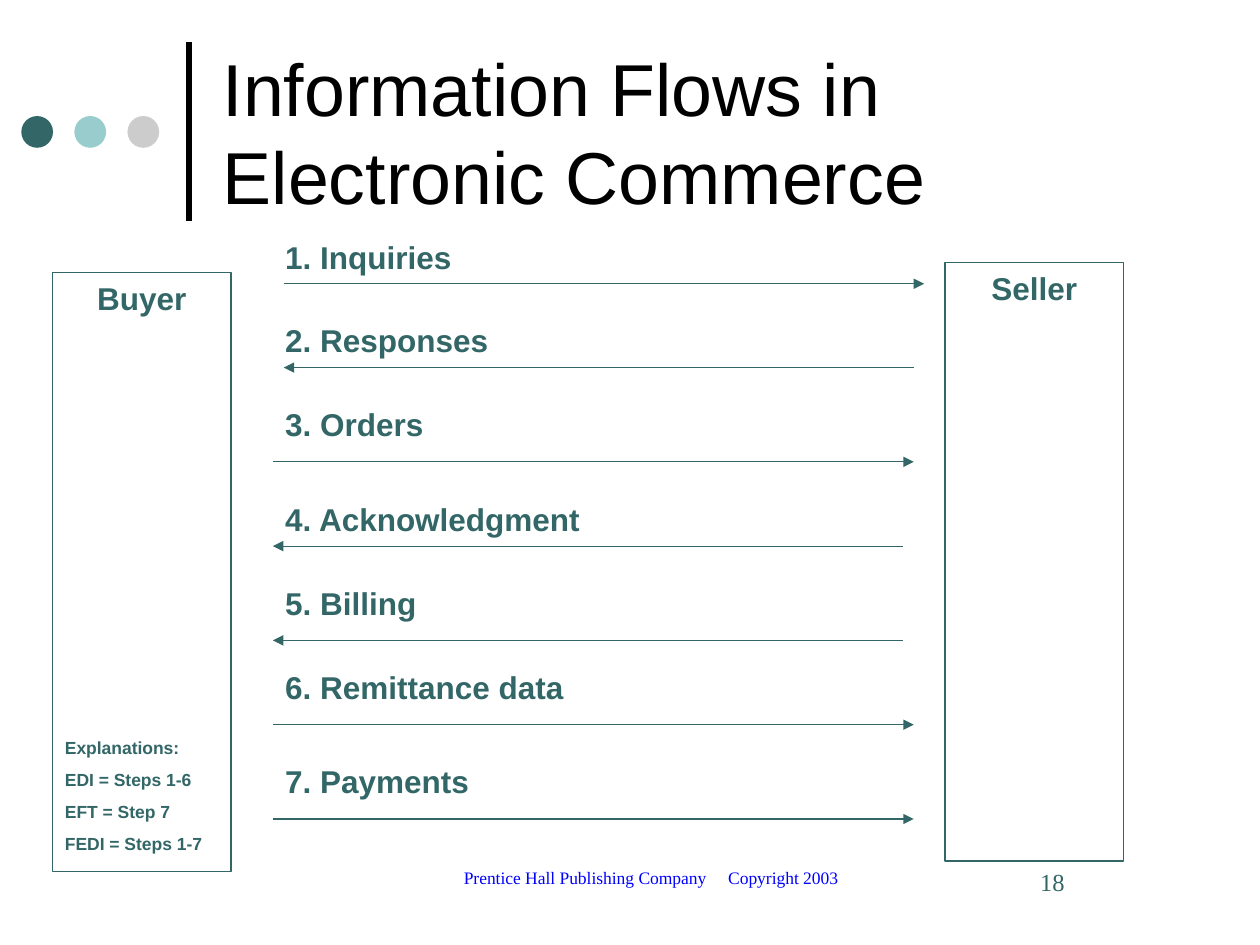
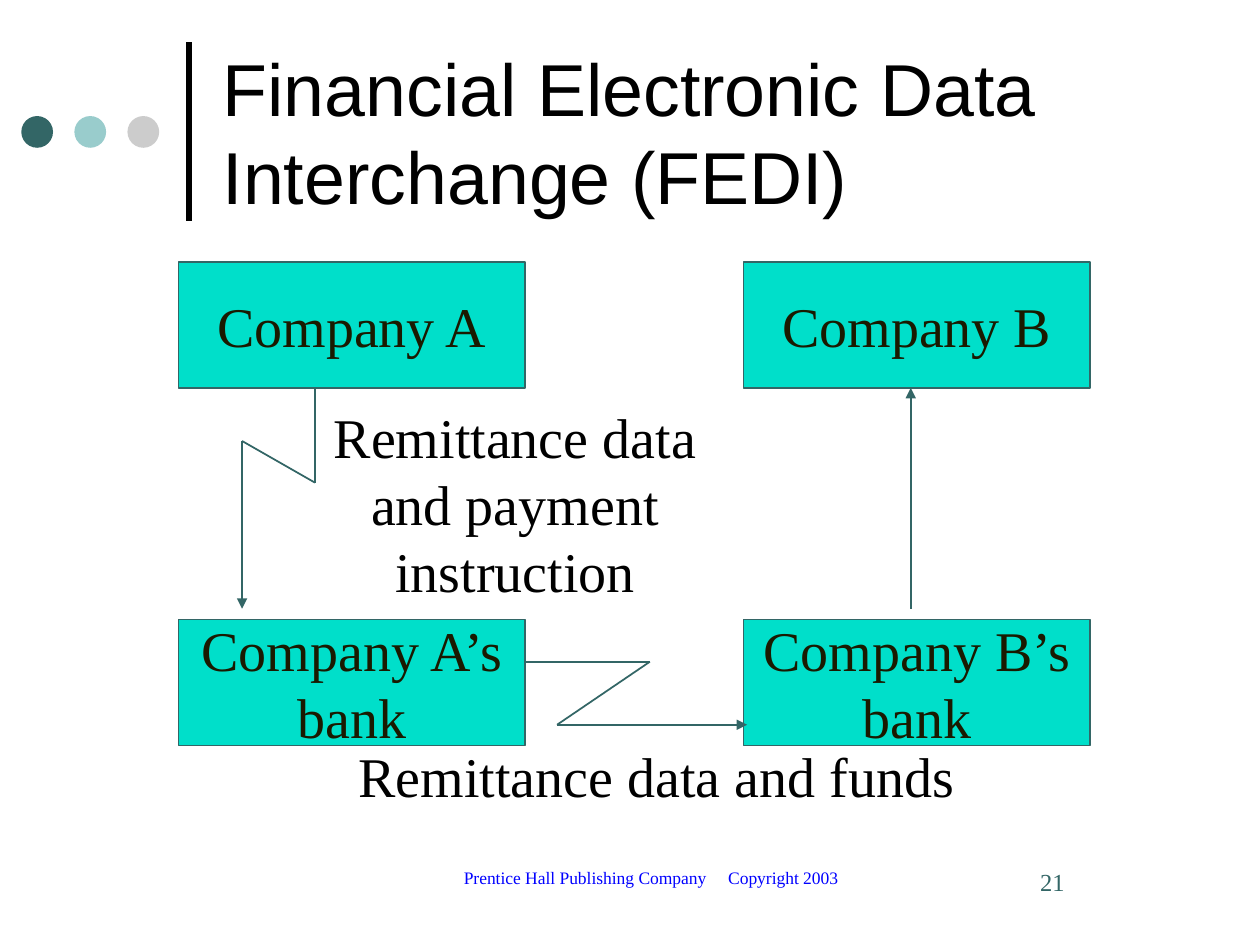
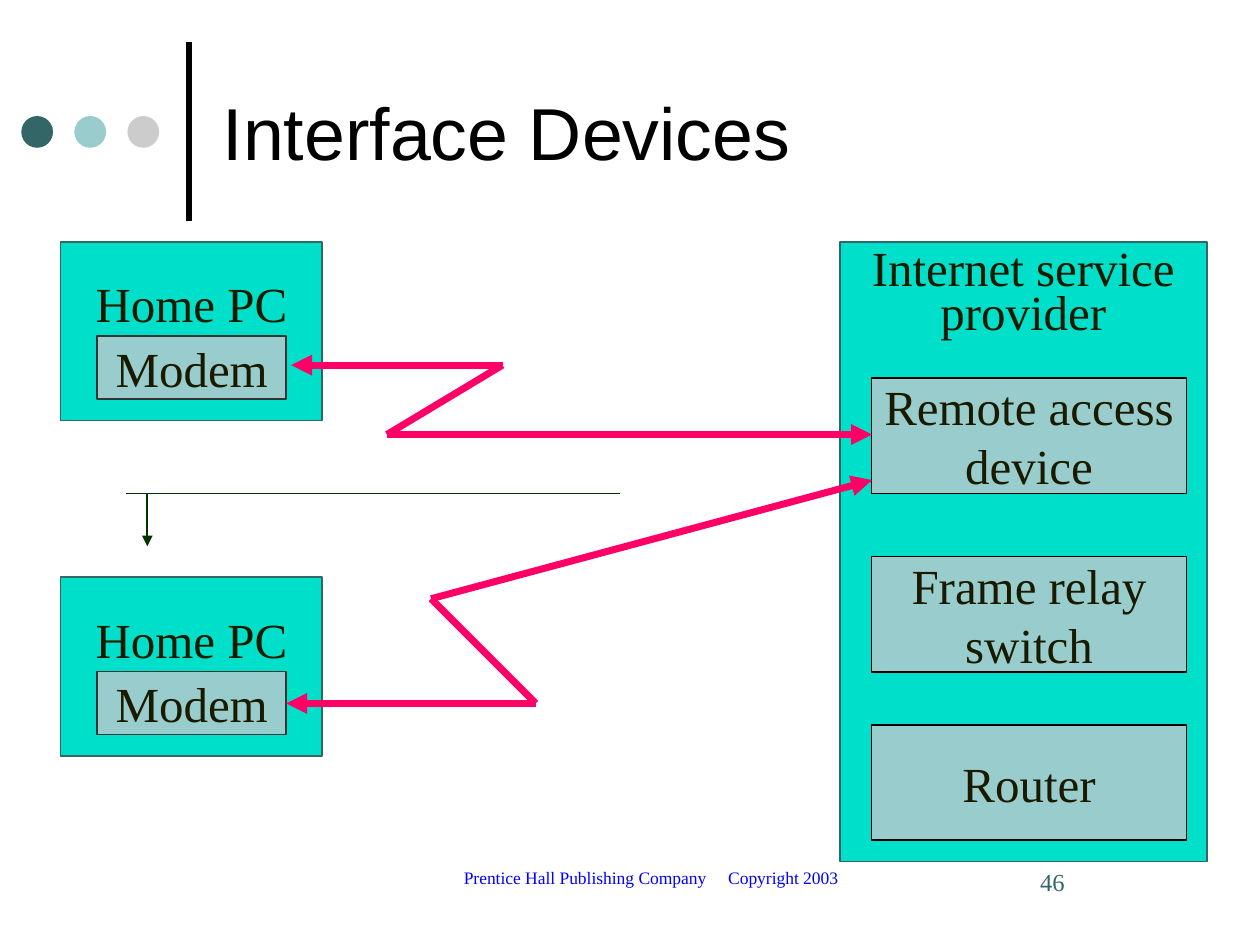
import itertools

import lxml.etree
import pptx
import pptx.dml.color
import pptx.enum.shapes
import pptx.enum.text
import pptx.oxml.ns
import pptx.util

Cm = pptx.util.Cm
Pt = pptx.util.Pt
qn = pptx.oxml.ns.qn
ALIGN = pptx.enum.text.PP_ALIGN
ANCHOR = pptx.enum.text.MSO_ANCHOR
SHAPE = pptx.enum.shapes.MSO_SHAPE

COLOURS = {
    "black": "000000",
    "teal": "336666",
    "pale": "99CCCC",
    "grey": "CCCCCC",
    "slate": "333333",
    "aqua": "00DFCA",
    "ink": "1A1A00",
    "green": "003300",
    "pink": "FF0066",
    "blue": "0000FF",
}
TITLE = {"name": "Arial", "size": Pt(42), "bold": False}
LABEL = {"name": "Arial", "size": Pt(18), "bold": True}
NOTE = {"name": "Arial", "size": Pt(10), "bold": True}
LARGE = {"name": "Times New Roman", "size": Pt(32)}
MEDIUM = {"name": "Times New Roman", "size": Pt(28)}
NUMBER = {"name": "Times New Roman", "size": Pt(14)}
FOOTER = {"name": "Times New Roman", "size": Pt(10)}

LEFT = {"alignment": ALIGN.LEFT}
CENTRE = {"alignment": ALIGN.CENTER}


def colour(name):
    return pptx.dml.color.RGBColor.from_string(COLOURS[name])


def apply(target, values):
    for name, value in values.items():
        setattr(target, name, value)


def write(box, lines, font, ink, para_format=LEFT, gap=0, **frame_format):
    """Fill a shape with one paragraph per line, gap points apart."""
    frame = box.text_frame
    apply(frame, {
        "word_wrap": True, "auto_size": pptx.enum.text.MSO_AUTO_SIZE.NONE,
        "vertical_anchor": ANCHOR.TOP,
        "margin_left": Cm(0.25), "margin_right": Cm(0.25),
        "margin_top": Cm(0.13), "margin_bottom": Cm(0.13),
        **frame_format})
    for index, line in enumerate(lines):
        para = frame.add_paragraph() if index else frame.paragraphs[0]
        apply(para, para_format)
        if index and gap:
            para.space_before = Pt(gap)
        span = para.add_run()
        span.text = line
        apply(span.font, font)
        span.font.color.rgb = colour(ink)


def add_text(page, area, lines, font, ink, **options):
    box = page.shapes.add_textbox(*map(Cm, area))
    write(box, lines, font, ink, **options)
    return box


def add_shape(page, area, fill=None, line=None, width=1, kind=SHAPE.RECTANGLE):
    shape = page.shapes.add_shape(kind, *map(Cm, area))
    shape.shadow.inherit = False
    if fill:
        shape.fill.solid()
        shape.fill.fore_color.rgb = colour(fill)
    else:
        shape.fill.background()
    if line:
        shape.line.color.rgb = colour(line)
        shape.line.width = Pt(width)
    else:
        shape.line.fill.background()
    return shape


def add_node(page, area, lines, font, fill="aqua", line="teal", **options):
    """A filled box with centred wording."""
    node = add_shape(page, area, fill, line)
    write(node, lines, font, "ink", para_format=CENTRE,
          **{"vertical_anchor": ANCHOR.MIDDLE, "word_wrap": False, **options})


def add_line(page, start, end, ink, width, arrows=()):
    """A straight line; arrows may hold "headEnd" (start) and "tailEnd" (end)."""
    line = page.shapes.add_connector(
        pptx.enum.shapes.MSO_CONNECTOR.STRAIGHT, *map(Cm, start + end))
    line.line.color.rgb = colour(ink)
    line.line.width = Pt(width)
    properties = line.element.spPr
    for arrow in arrows:
        lxml.etree.SubElement(
            properties.find(qn("a:ln")), qn("a:" + arrow), type="triangle")
    lxml.etree.SubElement(properties, qn("a:effectLst"))
    return line


def add_route(page, points, ink="teal", width=1, both_ends=False):
    """A bent line with an arrow at its last point, or at both ends."""
    legs = list(itertools.pairwise(points))
    for index, (start, end) in enumerate(legs):
        arrows = []
        if both_ends and index == 0:
            arrows.append("headEnd")
        if index == len(legs) - 1:
            arrows.append("tailEnd")
        add_line(page, start, end, ink, width, arrows)


def decorate_layout(layout, page):
    """Draw the title rule and dots, and move them to the shared layout."""
    marks = [add_line(page, (3.81, 4.45), (3.81, 0.84), "black", 3)]
    for index, fill in enumerate(("teal", "pale", "grey")):
        area = (0.43 + 1.07 * index, 2.34, 0.64, 0.64)
        marks.append(add_shape(page, area, fill, kind=SHAPE.OVAL))
    for mark in marks:
        layout.shapes.element.append(mark.element)


def add_page(deck, layout, title):
    page = deck.slides.add_slide(layout)
    heading = page.shapes.title
    apply(heading, {"left": Cm(4.24), "top": Cm(0.53),
                    "width": Cm(19.48), "height": Cm(4.24)})
    write(heading, [title], TITLE, "black", vertical_anchor=ANCHOR.MIDDLE)
    return page


def add_footer(page, number):
    box = page.shapes.add_textbox(*map(Cm, (8.05, 17.35, 10.16, 1.27)))
    properties = box.text_frame.paragraphs[0]._p.get_or_add_pPr()
    stops = lxml.etree.SubElement(properties, qn("a:tabLst"))
    lxml.etree.SubElement(stops, qn("a:tab"), pos=str(Cm(5.33)), algn="l")
    write(box, ["Prentice Hall Publishing Company\tCopyright 2003"],
          FOOTER, "blue", margin_left=Cm(1.3))
    add_text(page, (20.11, 17.35, 3.6, 1.27), [str(number)], NUMBER, "teal",
             margin_left=Cm(0.86))


def draw_information_flows(page):
    for name, left, top in (("Buyer", 1.06, 5.5), ("Seller", 19.05, 5.29)):
        party = add_shape(page, (left, top, 3.6, 12.07), line="teal", width=0.75)
        write(party, [name], LABEL, "teal", para_format=CENTRE)
    flows = (
        ("1. Inquiries", 4.66, 3.86, 5.72, 5.72, 18.63),
        ("2. Responses", 6.35, 4.6, 7.41, 18.42, 5.72),
        ("3. Orders", 8.04, 3.3, 9.31, 5.5, 18.42),
        ("4. Acknowledgment", 9.95, 6.48, 11.01, 18.2, 5.5),
        ("5. Billing", 11.64, 3.15, 12.91, 18.2, 5.5),
        ("6. Remittance data", 13.34, 6.12, 14.61, 5.5, 18.42),
        ("7. Payments", 15.24, 4.22, 16.51, 5.5, 18.42),
    )
    for name, top, width, level, start, end in flows:
        add_route(page, [(start, level), (end, level)], width=0.75)
        add_text(page, (5.5, top, width, 1.02), [name], LABEL, "teal",
                 word_wrap=False)
    add_text(page, (1.06, 14.73, 3.6, 2.62),
             ["Explanations:", "EDI = Steps 1-6", "EFT = Step 7",
              "FEDI = Steps 1-7"], NOTE, "teal", gap=6.2)


def draw_fedi(page):
    for company, left in (("Company A", 3.6), ("Company B", 14.99)):
        add_node(page, (left, 5.29, 6.99, 2.54), [company], LARGE)
        add_node(page, (left, 12.49, 6.99, 2.54), [company + "’s", "bank"], LARGE)
    add_route(page, [(6.35, 7.85), (6.35, 9.73), (4.88, 8.89), (4.88, 12.27)])
    add_route(page, [(10.59, 13.34), (13.1, 13.34), (11.23, 14.61), (15.06, 14.61)])
    add_route(page, [(18.36, 12.27), (18.36, 7.82)])
    add_text(page, (5.94, 7.98, 8.89, 4.32),
             ["Remittance data and payment instruction"],
             LARGE, "black", para_format=CENTRE)
    add_text(page, (5.72, 14.81, 15.04, 1.6), ["Remittance data and funds"],
             LARGE, "black", para_format=CENTRE)


def draw_interface_devices(page):
    for top in (4.88, 11.64):
        add_node(page, (1.22, top, 5.28, 3.6), ["Home PC"], MEDIUM,
                 margin_bottom=Cm(1.26))
        add_node(page, (1.96, top + 1.9, 3.81, 1.27), ["Modem"], MEDIUM,
                 "pale", "slate")
    add_line(page, (2.54, 9.95), (12.5, 9.95), "green", 1)
    add_route(page, [(2.97, 9.95), (2.97, 11.01)], "green")
    add_shape(page, (16.93, 4.88, 7.41, 12.49), "aqua", "teal")
    add_text(page, (16.93, 4.93, 7.4, 2.03), ["Internet service provider"],
             MEDIUM, "ink", para_format={**CENTRE, "line_spacing": 0.75})
    devices = (
        (["Remote access", "device"], 7.62),
        (["Frame relay", "switch"], 11.22),
        (["Router"], 14.61),
    )
    for lines, top in devices:
        add_node(page, (17.57, top, 6.35, 2.33), lines, MEDIUM, "pale", "black")
    links = (
        [(5.87, 7.36), (10.13, 7.36), (7.8, 8.76), (17.58, 8.76)],
        [(5.77, 14.18), (10.8, 14.18), (8.69, 12.07), (17.58, 9.68)],
    )
    for points in links:
        add_route(page, points, "pink", 4, both_ends=True)


def main():
    deck = pptx.Presentation()
    deck.slide_width, deck.slide_height = Cm(25.4), Cm(19.05)
    layout = deck.slide_layouts.get_by_name("Title Only")
    contents = (
        ("Information Flows in Electronic Commerce", 18, draw_information_flows),
        ("Financial Electronic Data Interchange (FEDI)", 21, draw_fedi),
        ("Interface Devices", 46, draw_interface_devices),
    )
    for title, number, draw in contents:
        page = add_page(deck, layout, title)
        draw(page)
        add_footer(page, number)
    decorate_layout(layout, deck.slides[0])
    deck.save("out.pptx")


if __name__ == "__main__":
    main()
